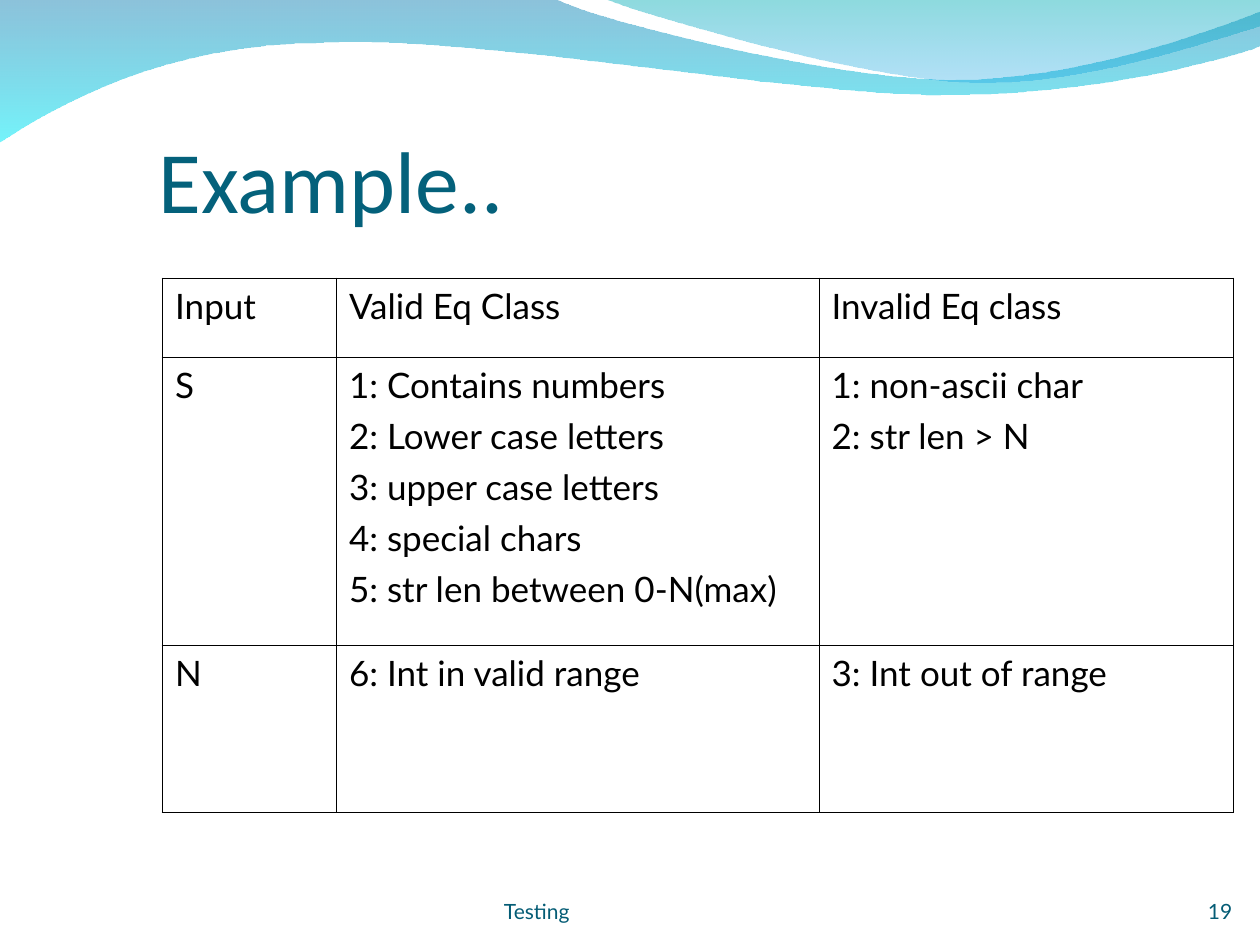
from dataclasses import dataclass

from lxml.etree import SubElement
from pptx import Presentation
from pptx.dml.color import RGBColor
from pptx.enum.text import MSO_ANCHOR as Anchor, MSO_AUTO_SIZE as AutoSize, PP_ALIGN as Align
from pptx.oxml.ns import qn
from pptx.util import Inches, Pt


@dataclass(frozen=True)
class Theme:
    title_font: str = "Calibri"
    body_font: str = "Lato"
    title_color: str = "04617B"
    footer_color: str = "045C75"
    text_color: str = "000000"
    border_color: str = "000000"
    title_size: float = 50
    table_size: float = 20
    footer_size: float = 12
    row_gap: float = 5
    outer_border: float = 1.08
    inner_border: float = 0.45
    # Gradient stops: colour and opacity in percent
    long_wave: tuple = (("0079AF", 45), ("00EBF8", 55))
    short_wave: tuple = (("00ADB6", 45), ("009BE5", 30))


class SlideBuilder:
    def __init__(self, slide, theme):
        self.slide = slide
        self.theme = theme

    def style(self, paragraph, size, color, font, align=Align.LEFT):
        paragraph.alignment = align
        paragraph.font.size = Pt(size)
        paragraph.font.name = font
        paragraph.font.color.rgb = RGBColor.from_string(color)

    def frame(self, shape, insets=(0, 0, 0, 0)):
        frame = shape.text_frame
        frame.auto_size = AutoSize.NONE
        frame.word_wrap = True
        frame.vertical_anchor = Anchor.BOTTOM
        (frame.margin_left, frame.margin_top,
         frame.margin_right, frame.margin_bottom) = map(Inches, insets)
        return frame

    def title(self, text, left, top, width, height):
        title = self.slide.shapes.title
        title.left, title.top, title.width, title.height = map(
            Inches, (left, top, width, height))
        frame = self.frame(title, (0, 0.05, 0, 0))
        frame.text = text
        self.style(frame.paragraphs[0], self.theme.title_size,
                   self.theme.title_color, self.theme.title_font)

    def wave(self, start, segments, stops):
        """Draw an outline of lines (1 point) and cubic curves (3 points)."""
        builder = self.slide.shapes.build_freeform(*map(Inches, start))
        builder.add_line_segments(
            [(Inches(x), Inches(y)) for segment in segments for x, y in segment], close=True)
        wave = builder.convert_to_shape()
        self.curve(wave, segments)
        wave.shadow.inherit = False
        wave.line.fill.background()
        wave.fill.gradient()
        wave.fill.gradient_angle = 270
        for stop, (color, opacity) in zip(wave.fill.gradient_stops, stops):
            stop.color.rgb = RGBColor.from_string(color)
        gradient_colors = list(wave.element.spPr.iter(qn("a:srgbClr")))
        for element, (color, opacity) in zip(gradient_colors, stops):
            SubElement(element, qn("a:alpha"), val=str(opacity * 1000))
        # Keep the decoration behind the title
        self.slide.shapes.title.element.addprevious(wave.element)

    def curve(self, shape, segments):
        """Join each run of three line points into one cubic curve."""
        lines = iter(list(shape.element.spPr.iter(qn("a:lnTo"))))
        for segment in segments:
            first, *others = [next(lines) for point in segment]
            if others:
                first.tag = qn("a:cubicBezTo")
            for line in others:
                first.append(line[0])
                line.getparent().remove(line)

    def borders(self, cell, outer_sides):
        properties = cell._tc.get_or_add_tcPr()
        for side in "LRTB":
            width = self.theme.outer_border if side in outer_sides else self.theme.inner_border
            line = SubElement(properties, qn(f"a:ln{side}"), w=str(Pt(width)))
            fill = SubElement(line, qn("a:solidFill"))
            SubElement(fill, qn("a:srgbClr"), val=self.theme.border_color)

    def table(self, rows, left, top, widths, heights):
        theme = self.theme
        table = self.slide.shapes.add_table(
            len(heights), len(widths), Inches(left), Inches(top),
            Inches(sum(widths)), Inches(sum(heights))).table
        table.first_row = table.horz_banding = False
        for column, width in zip(table.columns, widths):
            column.width = Inches(width)
        for r, (row, height) in enumerate(zip(rows, heights)):
            table.rows[r].height = Inches(height)
            for c, text in enumerate(row):
                cell = table.cell(r, c)
                cell.text = text
                for index, paragraph in enumerate(cell.text_frame.paragraphs):
                    if index:
                        paragraph.space_before = Pt(theme.row_gap)
                    self.style(paragraph, theme.table_size, theme.text_color, theme.body_font)
                outer = {"L": c == 0, "R": c == len(widths) - 1,
                         "T": r == 0, "B": r == len(heights) - 1}
                self.borders(cell, [side for side in outer if outer[side]])
                cell.fill.background()

    def footer(self, text, left, width, align=Align.LEFT):
        box = self.slide.shapes.add_textbox(
            Inches(left), Inches(6.83), Inches(width), Inches(0.5))
        frame = self.frame(box)
        frame.text = text
        self.style(frame.paragraphs[0], self.theme.footer_size,
                   self.theme.footer_color, self.theme.body_font, align)


def main():
    presentation = Presentation()
    presentation.slide_width, presentation.slide_height = Inches(10), Inches(7.5)
    theme = Theme()
    builder = SlideBuilder(presentation.slides.add_slide(presentation.slide_layouts[5]), theme)

    # Waves along the top edge
    builder.wave((0, -0.01), [
        [(4.4, -0.01)],
        [(4.76, 0.17), (6.64, 0.63), (7.58, 0.63)],
        [(8.53, 0.63), (9.58, 0.26), (10, 0.09)],
        [(10.01, 0.36)],
        [(9.83, 0.44), (8.7, 0.76), (7.46, 0.75)],
        [(6.22, 0.75), (3.82, 0.28), (2.57, 0.34)],
        [(1.29, 0.35), (0.46, 0.83), (-0.01, 1.13)],
    ], theme.long_wave)
    builder.wave((4.79, -0.01), [
        [(5.09, 0.11), (6.82, 0.62), (7.69, 0.65)],
        [(8.56, 0.69), (9.61, 0.32), (10, 0.21)],
        [(10, 0)],
    ], theme.short_wave)

    builder.title("Example..", 1.26, 0.23, 8.52, 1.6)

    # Equivalence classes for each input
    valid_strings = "\n".join([
        "1: Contains numbers", "2: Lower case letters", "3: upper case letters",
        "4: special chars", "5: str len between 0-N(max)"])
    builder.table([
        ("Input", "Valid Eq Class", "Invalid Eq class"),
        ("S", valid_strings, "1: non-ascii char\n2: str len > N"),
        ("N", "6: Int in valid range", "3: Int out of range"),
    ], 1.29, 2.21, widths=(1.38, 3.83, 3.29), heights=(0.63, 2.28, 1.33))

    # Footer and slide number
    builder.footer("Testing", 4, 3.17)
    builder.footer("19", 7.7, 2.08, Align.RIGHT)

    presentation.save("out.pptx")


if __name__ == "__main__":
    main()
